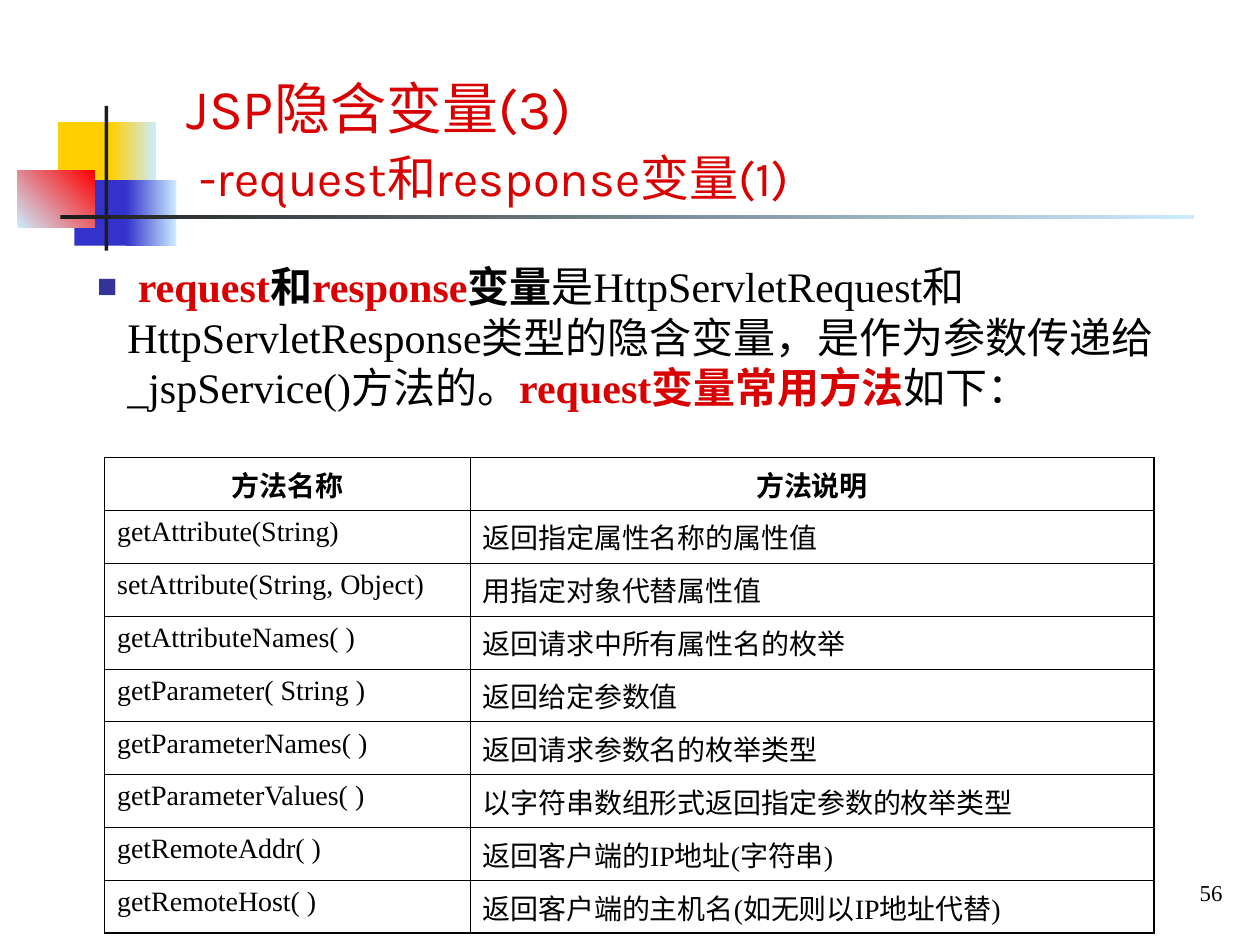
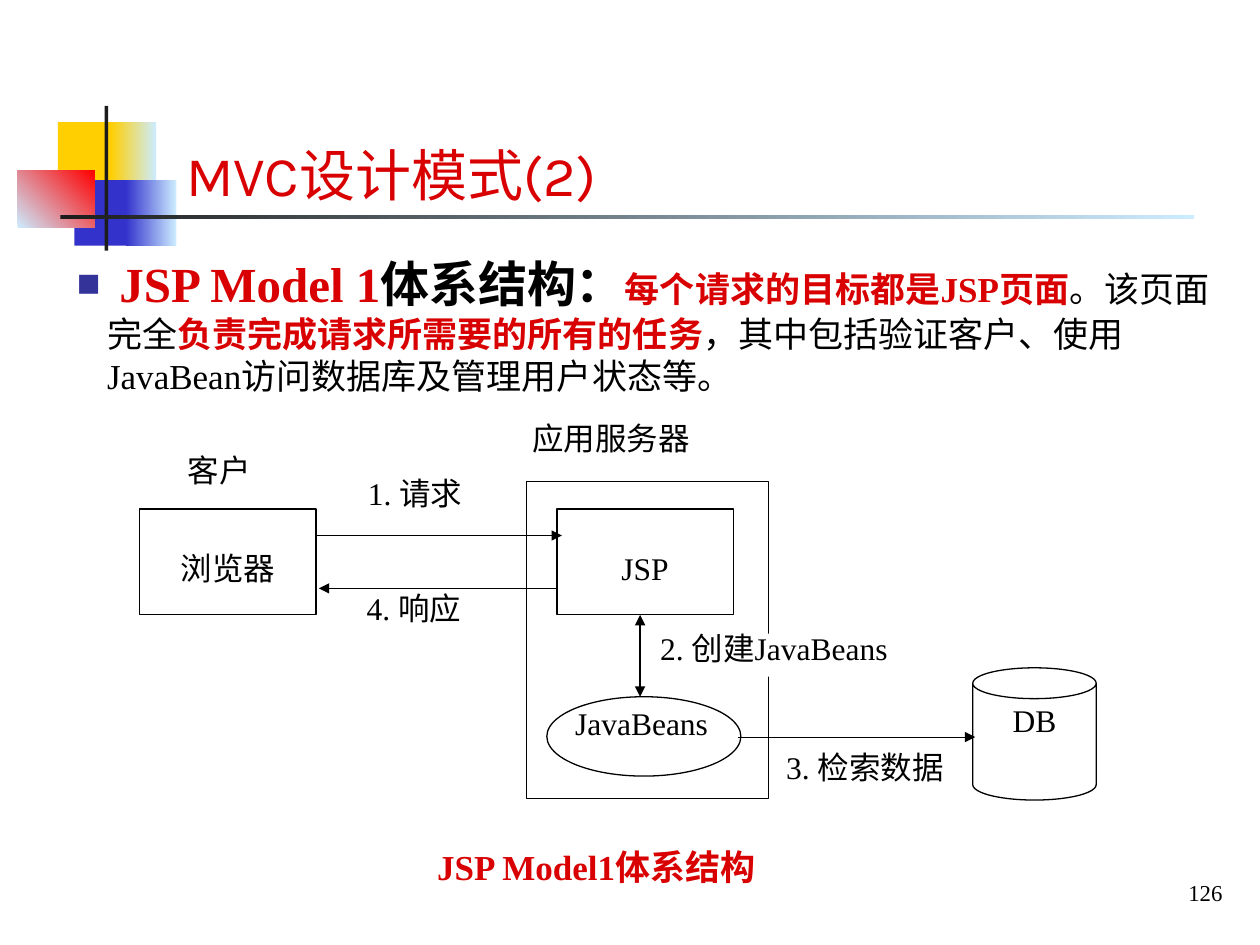
from lxml.etree import SubElement as Sub
from pptx import Presentation
from pptx.dml.color import RGBColor as RGB
from pptx.enum.shapes import MSO_CONNECTOR as Link, MSO_SHAPE as Geo
from pptx.enum.text import MSO_ANCHOR as Anchor, MSO_AUTO_SIZE as Fit, PP_ALIGN as Align
from pptx.oxml.ns import qn
from pptx.util import Pt

PX = 9144
INK = {"red": "D80000", "black": "000000", "white": "FFFFFF", "navy": "333399",
       "gold": "FFCF01", "blue": "3333CC", "ice": "CCECFF", "hot": "FF0000", "dark": "1C1C1C"}
SERIF, SANS = "Times New Roman", "Karla"

DECOR = [
    ((46, 97, 48, 52), ["gold"], 0),
    ((88, 97, 36, 52), ["gold", "ice"], 0),
    ((59, 143, 46, 52), ["blue"], 0),
    ((100, 143, 40, 52), ["blue", "ice"], 0),
    ((14, 135, 61, 46), ["ice", "hot"], 45),
    ((83, 84, 3, 115), ["dark"], 0),
    ((48, 171, 900, 3), ["dark", "ice"], 0),
]

PAGES = [
    {"no": "56", "box": (67, 202, 866, 134),
     "title": [("JSP隐含变量(3)\v ", 32, "red", False), ("-request和response变量(1)", 28, "red", False)],
     "body": [(" ", 24, "black", False), ("request", 24, "red", True), ("和", 24, "black", True),
              ("response", 24, "red", True), ("变量", 24, "black", True),
              ("是HttpServletRequest和HttpServletResponse类型的隐含变量，是作为参数传递给_jspService()方法的。",
               24, "black", False),
              ("request变量常用方法", 24, "red", True), ("如下：", 24, "black", False)]},
    {"no": "126", "box": (51, 196, 933, 124),
     "title": [("MVC设计模式(2)", 32, "red", False)],
     "body": [(" JSP Model 1", 28, "red", True), ("体系结构：", 28, "black", True),
              ("每个请求的目标都是JSP页面", 20, "red", True), ("。该页面完全", 20, "black", False),
              ("负责完成请求所需要的所有的任务", 20, "red", True),
              ("，其中包括验证客户、使用JavaBean访问数据库及管理用户状态等。", 20, "black", False)]},
]

METHODS = [
    ("方法名称", "方法说明"),
    ("getAttribute(String)", "返回指定属性名称的属性值"),
    ("setAttribute(String, Object)", "用指定对象代替属性值"),
    ("getAttributeNames( )", "返回请求中所有属性名的枚举"),
    ("getParameter( String )", "返回给定参数值"),
    ("getParameterNames( )", "返回请求参数名的枚举类型"),
    ("getParameterValues( )", "以字符串数组形式返回指定参数的枚举类型"),
    ("getRemoteAddr( )", "返回客户端的IP地址(字符串)"),
    ("getRemoteHost( )", "返回客户端的主机名(如无则以IP地址代替)"),
]
COLS, ROW = (290, 543), 42

NODES = [
    ("", Geo.RECTANGLE, (418, 382, 192, 252)),
    ("浏览器", Geo.RECTANGLE, (111, 404, 140, 84)),
    ("JSP", Geo.RECTANGLE, (442, 404, 140, 84)),
    ("JavaBeans", Geo.OVAL, (434, 553, 154, 63)),
    ("DB", Geo.CAN, (772, 530, 98, 105)),
]
ARROWS = [
    ((251, 425, 446, 425), 0.5, ["tailEnd"]),
    ((441, 467, 253, 467), 0.5, ["tailEnd"]),
    ((508, 488, 508, 553), 0.75, ["headEnd", "tailEnd"]),
    ((586, 585, 774, 585), 0.5, ["tailEnd"]),
]
LABELS = [
    ("客户", (83, 361, 182, 42), Align.CENTER),
    ("应用服务器", (394, 336, 182, 42), Align.CENTER),
    ("1. 请求", (292, 380, 106, 34), Align.JUSTIFY),
    ("2. 创建JavaBeans", (524, 503, 197, 34), Align.JUSTIFY),
    ("3. 检索数据", (624, 597, 144, 34), Align.JUSTIFY),
    ("4. 响应", (291, 471, 106, 34), Align.JUSTIFY),
]


def emu(box):
    return [n * PX for n in box]


def rgb(name):
    return RGB.from_string(INK[name])


def style(font, size, ink="black", bold=False, face=SERIF):
    font.size, font.bold, font.name = Pt(size), bold, face
    font.color.rgb = rgb(ink)


def write(para, parts, face=SERIF):
    for text, size, ink, bold in parts:
        lines = text.split("\v")
        for i, line in enumerate(lines):
            if i:
                para.add_line_break()
            run = para.add_run()
            run.text = line
            style(run.font, size, ink, bold, face)


def place(shape, box):
    shape.left, shape.top, shape.width, shape.height = emu(box)


def pad(item, x, y):
    item.margin_left = item.margin_right = x * PX
    item.margin_top = item.margin_bottom = y * PX


def block(slide, geo, box, fills=("white",), angle=0):
    shape = slide.shapes.add_shape(geo, *emu(box))
    shape.shadow.inherit = False
    shape.line.fill.background()
    if len(fills) == 1:
        shape.fill.solid()
        shape.fill.fore_color.rgb = rgb(fills[0])
    else:
        shape.fill.gradient()
        shape.fill.gradient_angle = angle
        for stop, name, spot in zip(shape.fill.gradient_stops, fills, (0, 1)):
            stop.color.rgb, stop.position = rgb(name), spot
    return shape


def decorate(slide):
    tree = slide.slide_layout.shapes.element
    for i, (box, fills, angle) in enumerate(DECOR):
        part = block(slide, Geo.RECTANGLE, box, fills, angle).element
        part.nvSpPr.cNvPr.set("id", str(50 + i))
        tree.insert(2 + i, part)


def bullet(para):
    props = para._p.get_or_add_pPr()
    props.set("marL", str(24 * PX))
    props.set("indent", str(-24 * PX))
    Sub(Sub(props, qn("a:buClr")), qn("a:srgbClr"), val=INK["navy"])
    Sub(props, qn("a:buSzPct"), val="80000")
    Sub(props, qn("a:buChar"), char="■")


def note(slide, box, parts, align):
    frame = slide.shapes.add_textbox(*emu(box)).text_frame
    frame.word_wrap = False
    pad(frame, 10, 5)
    frame.paragraphs[0].alignment = align
    write(frame.paragraphs[0], parts)
    return frame


def page(deck, data):
    slide = deck.slides.add_slide(deck.slide_layouts[1])
    title, body = slide.placeholders
    for shape, box, key, face in ((title, (138, 52, 732, 118), "title", SANS),
                                  (body, data["box"], "body", SERIF)):
        place(shape, box)
        frame = shape.text_frame
        frame.auto_size, frame.word_wrap = Fit.NONE, True
        frame.vertical_anchor = Anchor.BOTTOM if key == "title" else Anchor.TOP
        pad(frame, 10, 5)
        para = frame.paragraphs[0]
        para.alignment, para.space_before = Align.LEFT, Pt(0)
        if key == "body":
            bullet(para)
        write(para, data[key], face)
    frame = note(slide, (789, 690, 191, 37), [(data["no"], 13, "black", False)], Align.RIGHT)
    frame.vertical_anchor = Anchor.MIDDLE
    return slide


def border(cell, sides):
    props = cell._tc.get_or_add_tcPr()
    for side, outer in zip("LRTB", sides):
        line = Sub(props, qn("a:ln" + side), w=str(Pt(1.08 if outer else 0.45)))
        Sub(Sub(line, qn("a:solidFill")), qn("a:srgbClr"), val=INK["black"])


def grid(slide):
    rows, cols = len(METHODS), len(COLS)
    box = (83, 363, sum(COLS), ROW * rows)
    table = slide.shapes.add_table(rows, cols, *emu(box)).table
    table.first_row = table.horz_banding = False
    for col, width in zip(table.columns, COLS):
        col.width = width * PX
    for r, texts in enumerate(METHODS):
        table.rows[r].height = ROW * PX
        for c, text in enumerate(texts):
            cell = table.cell(r, c)
            border(cell, (c == 0, c == cols - 1, r == 0, r == rows - 1))
            cell.fill.background()
            pad(cell, 10, 5)
            para = cell.text_frame.paragraphs[0]
            para.text = text
            para.alignment = Align.LEFT if r else Align.CENTER
            style(para.runs[0].font, 16, bold=r == 0)


def label(shape, text, align):
    frame = shape.text_frame
    frame.word_wrap, frame.vertical_anchor = True, Anchor.TOP
    pad(frame, 0, 0)
    para = frame.paragraphs[0]
    para.text = text
    para.alignment, para.line_spacing = align, 0.9
    style(para.runs[0].font, 18)
    return frame


def arrow(slide, ends, width, heads):
    line = slide.shapes.add_connector(Link.STRAIGHT, *emu(ends))
    line.line.width, line.line.color.rgb = Pt(width), rgb("black")
    for head in heads:
        Sub(line.line._get_or_add_ln(), qn("a:" + head), type="triangle")
    Sub(line.element.spPr, qn("a:effectLst"))


def flow(slide):
    for text, geo, box in NODES:
        shape = block(slide, geo, box)
        shape.line.width, shape.line.color.rgb = Pt(0.75), rgb("black")
        if text:
            frame = label(shape, text, Align.JUSTIFY if geo == Geo.OVAL else Align.CENTER)
            if geo == Geo.RECTANGLE:
                frame.vertical_anchor, frame.margin_top = Anchor.MIDDLE, 14 * PX
            elif geo == Geo.CAN:
                pad(frame, 10, 5)
    for ends, width, heads in ARROWS:
        arrow(slide, ends, width, heads)
    for text, box, align in LABELS:
        label(block(slide, Geo.RECTANGLE, box), text, align)
    note(slide, (337, 666, 281, 43), [("JSP Model1体系结构", 20, "red", True)], Align.LEFT)


def main():
    """Build the two slides and save them."""
    deck = Presentation()
    deck.slide_width, deck.slide_height = emu((1000, 750))
    first, second = [page(deck, data) for data in PAGES]
    decorate(first)
    grid(first)
    flow(second)
    deck.save("out.pptx")


if __name__ == "__main__":
    main()
